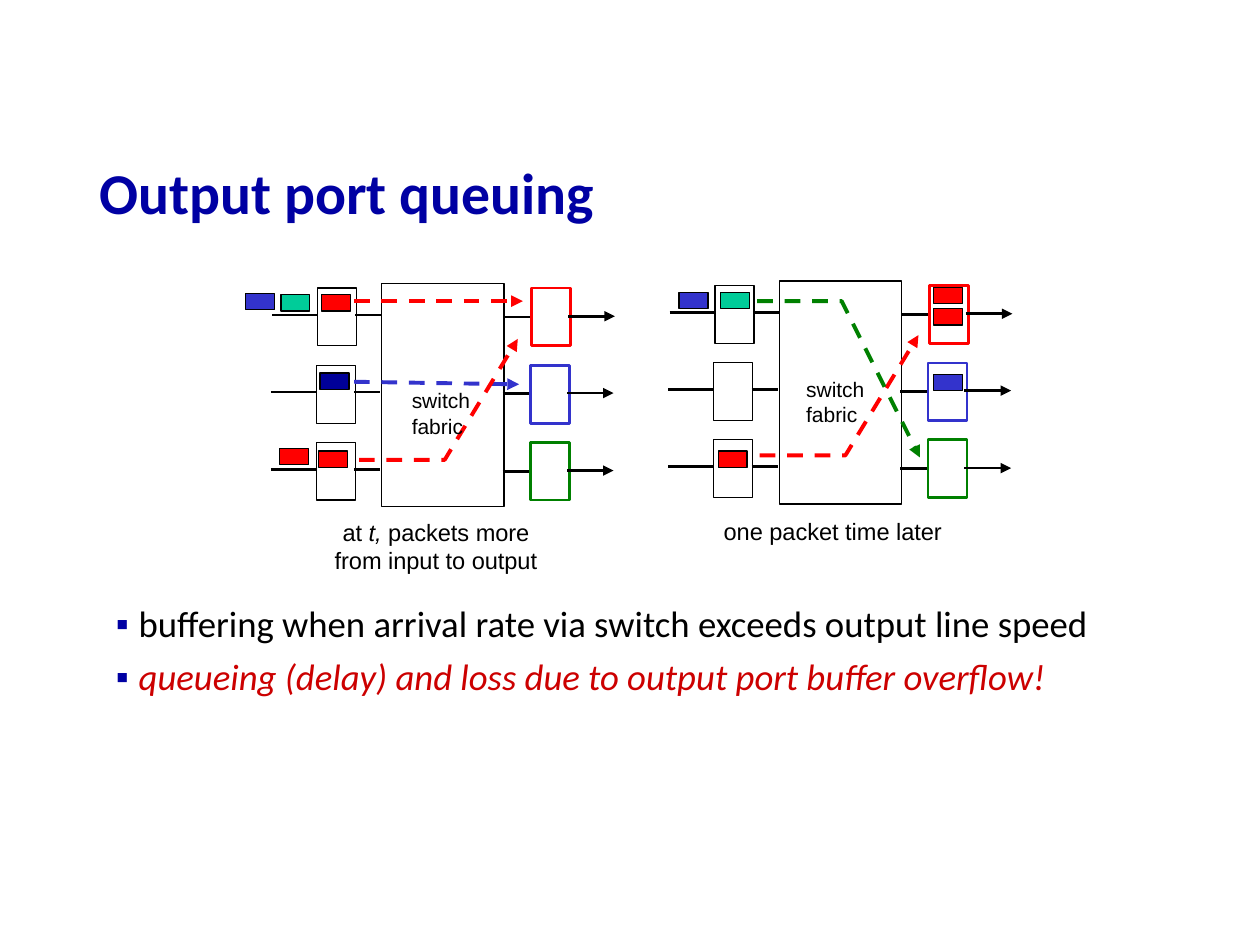
from lxml import etree
from pptx import Presentation
from pptx import util as u
from pptx.dml.color import RGBColor
from pptx.enum import dml, shapes, text
from pptx.oxml import ns

presentation = Presentation()
presentation.slide_width, presentation.slide_height = u.Inches(10), u.Inches(7.5)
column = presentation.slide_width / 100
row = presentation.slide_height / 75
slide = presentation.slides.add_slide(presentation.slide_layouts[1])
color = RGBColor.from_string

BLACK, WHITE, RED, GREEN = "000000", "FFFFFF", "FF0000", "008000"
BLUE, TEAL, NAVY, TITLE_BLUE = "3333CC", "00CC99", "000099", "0000A3"


def add_run(paragraph, words, font="Arial", size=13.5, fill=BLACK, bold=False, italic=False):
    run = paragraph.add_run()
    run.text = words
    run.font.name, run.font.size = font, u.Pt(size)
    run.font.bold, run.font.italic = bold, italic
    run.font.color.rgb = color(fill)


def style(shape, line=BLACK, width=0.75, fill=None, dashed=False, arrow=False):
    shape.line.color.rgb = color(line)
    shape.line.width = u.Pt(width)
    if fill:
        shape.fill.solid()
        shape.fill.fore_color.rgb = color(fill)
    if dashed:
        shape.line.dash_style = dml.MSO_LINE.DASH
    properties = shape._element.spPr
    if arrow:
        etree.SubElement(properties.find(ns.qn("a:ln")), ns.qn("a:tailEnd"), type="triangle")
    etree.SubElement(properties, ns.qn("a:effectLst"))


title = slide.shapes.title
title.left, title.top = int(6.9 * column), int(11.9 * row)
title.width, title.height = int(86.2 * column), int(7.3 * row)
title.text_frame.vertical_anchor = text.MSO_ANCHOR.MIDDLE
title.text_frame.auto_size = text.MSO_AUTO_SIZE.NONE
paragraph = title.text_frame.paragraphs[0]
paragraph.alignment = text.PP_ALIGN.LEFT
paragraph.line_spacing = 0.9
add_run(paragraph, "Output port queuing", font="Calibri", size=33, fill=TITLE_BLUE, bold=True)

boxes, wires = [], []
for x, y in ((0, 0), (31.55, -0.2)):
    boxes.append((x + 30.3, y + 22.5, 9.7, 17.7, BLACK, 0.75, WHITE))
    for shift, top, wire, port_color in (
        (0, 22.85, 25, RED), (0.1, 29, 31.1, BLUE), (0.1, 35.1, 37.25, GREEN)
    ):
        left = x - shift
        boxes.append((left + 25.2, y + top, 3.1, 4.6, BLACK, 0.75, WHITE))
        boxes.append((left + 42.2, y + top, 3.1, 4.6, port_color, 1.5, WHITE))
        wires += [
            (left + 21.6, left + 25.2, y + wire, False),
            (left + 28.2, left + 30.3, y + wire, False),
            (left + 40, left + 42.1, y + wire + 0.15, False),
            (left + 45.1, left + 48.8, y + wire + 0.1, True),
        ]

packets = [
    (19.5, 23.3, BLUE), (22.3, 23.4, TEAL), (25.5, 23.4, RED),
    (25.4, 29.6, NAVY), (22.2, 35.6, RED), (25.3, 35.8, RED),
    (53.9, 23.2, BLUE), (57.2, 23.2, TEAL), (57, 35.8, RED),
    (74.1, 22.8, RED), (74.1, 24.5, RED), (74.1, 29.7, BLUE),
]
boxes += [(x, y, 2.3, 1.3, BLACK, 0.75, fill) for x, y, fill in packets]

for x, y, width, height, line, line_width, fill in boxes:
    box = slide.shapes.add_shape(
        shapes.MSO_SHAPE.RECTANGLE,
        int(x * column), int(y * row), int(width * column), int(height * row),
    )
    style(box, line, line_width, fill)

flows = [(28.1, 23.9, 41.5, 23.9, RED), (28.1, 30.3, 41.2, 30.5, BLUE)]
lines = [(x1, y, x2, y, BLACK, 1.5, False, arrow) for x1, x2, y, arrow in wires]
lines += [(*flow, 2.25, True, True) for flow in flows]
for x1, y1, x2, y2, line, width, dashed, arrow in lines:
    connector = slide.shapes.add_connector(
        shapes.MSO_CONNECTOR.STRAIGHT,
        int(x1 * column), int(y1 * row), int(x2 * column), int(y2 * row),
    )
    style(connector, line, width, dashed=dashed, arrow=arrow)

bent_flows = [
    (RED, (28.5, 36.5), (35.3, 36.5), (41.1, 26.9)),
    (RED, (60.3, 36.15), (67.1, 36.15), (72.9, 26.6)),
    (GREEN, (60.1, 23.9), (66.8, 23.9), (73, 36.3)),
]
for line, *points in bent_flows:
    start, *rest = [(int(x * column), int(y * row)) for x, y in points]
    builder = slide.shapes.build_freeform(*start)
    builder.add_line_segments(rest, close=False)
    flow = builder.convert_to_shape()
    flow.fill.background()
    style(flow, line, 2.25, dashed=True, arrow=True)

fabric_label = [[("switch", False)], [("fabric", False)]]
labels = [
    (24.5, 40.6, 20.2, 5.6, 13.5, True,
     [[("at ", False), ("t,", True), (" packets more", False)], [("from input to output", False)]]),
    (56, 40.5, 20.2, 3.3, 13.5, True, [[("one packet time later", False)]]),
    (31.7, 30.3, 6.7, 5.1, 12, False, fabric_label),
    (63, 29.4, 6.7, 5.1, 12, False, fabric_label),
]
for x, y, width, height, size, caption, content in labels:
    label = slide.shapes.add_textbox(
        int(x * column), int(y * row), int(width * column), int(height * row)
    )
    frame = label.text_frame
    frame.word_wrap = caption
    for index, runs in enumerate(content):
        paragraph = frame.add_paragraph() if index else frame.paragraphs[0]
        paragraph.alignment = text.PP_ALIGN.CENTER if caption else text.PP_ALIGN.LEFT
        for words, italic in runs:
            add_run(paragraph, words, size=size, italic=italic)

body = slide.placeholders[1]
body.left, body.top = int(7.4 * column), int(47.7 * row)
body.width, body.height = int(82.5 * column), int(14.4 * row)
frame = body.text_frame
frame.auto_size = text.MSO_AUTO_SIZE.NONE
frame.margin_left = frame.margin_right = int(0.7 * column)
frame.margin_top = frame.margin_bottom = int(0.4 * row)
points = [
    ("buffering when arrival rate via switch exceeds output line speed", BLACK, False),
    ("queueing (delay) and loss due to output port buffer overflow!", "CC0000", True),
]
for index, (words, fill, italic) in enumerate(points):
    paragraph = frame.add_paragraph() if index else frame.paragraphs[0]
    properties = paragraph._p.get_or_add_pPr()
    properties.set("marL", str(int(2.9 * column)))
    properties.set("indent", str(int(-1.8 * column)))
    bullet_color = etree.SubElement(properties, ns.qn("a:buClr"))
    etree.SubElement(bullet_color, ns.qn("a:srgbClr"), val=TITLE_BLUE)
    etree.SubElement(properties, ns.qn("a:buFont"), typeface="Arial")
    etree.SubElement(properties, ns.qn("a:buChar"), char="▪")
    paragraph.line_spacing = 0.9
    paragraph.space_before = u.Pt(7.5 if index else 0)
    add_run(paragraph, words, font="Calibri", size=21, fill=fill, italic=italic)

presentation.save("out.pptx")
